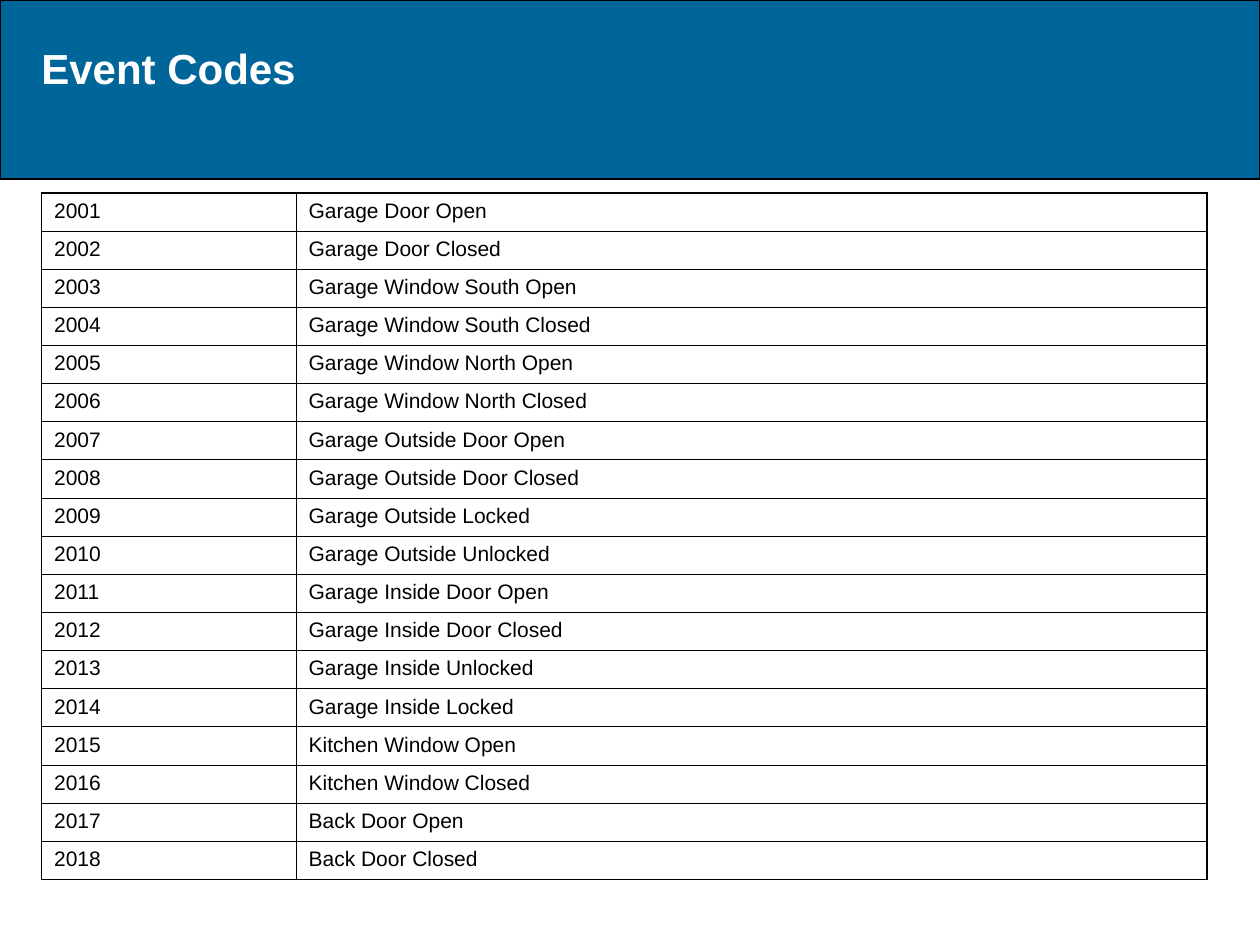
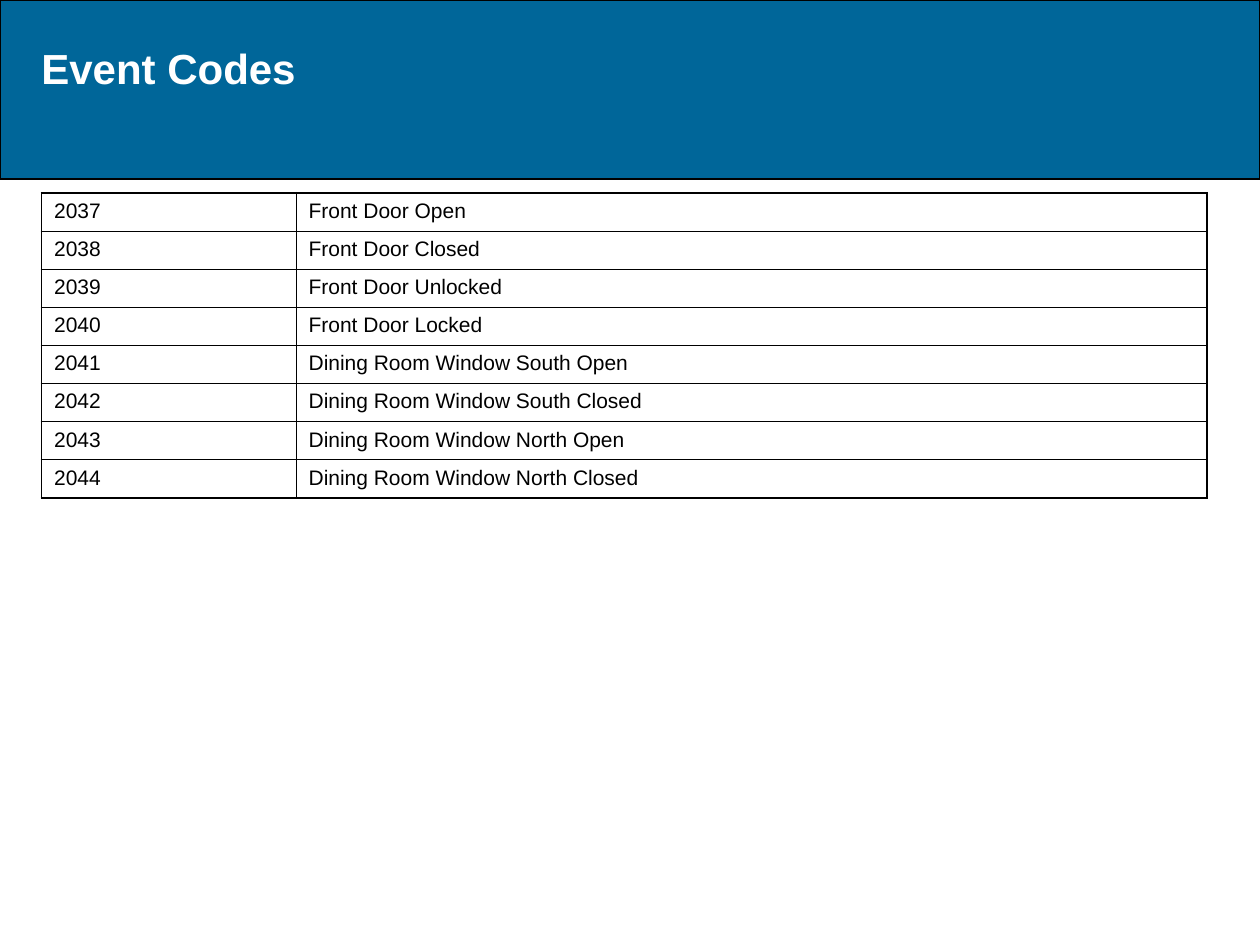
from lxml.etree import SubElement
from pptx import Presentation
from pptx.dml.color import RGBColor
from pptx.enum.shapes import MSO_SHAPE
from pptx.oxml.ns import qn
from pptx.util import Inches, Pt

# Shared style
BLUE = RGBColor(0x00, 0x66, 0x99)
WHITE = RGBColor(0xFF, 0xFF, 0xFF)
BLACK = RGBColor(0x00, 0x00, 0x00)
WIDE, HIGH = Inches(10), Inches(7.5)
TITLE = {"name": "Arial", "size": Pt(24), "bold": True}
BODY = {"name": "Arial", "size": Pt(12), "bold": False}
THICK, THIN = Pt(1.08), Pt(0.45)

# Table grid
LEFT, TOP = Inches(0.33), Inches(1.53)
COLS = (Inches(2.02), Inches(7.23))
ROW = Inches(5.45 / 18)

# First code and the events numbered from it, one list per slide
PAGES = (
    (2001, (
        "Garage Door Open",
        "Garage Door Closed",
        "Garage Window South Open",
        "Garage Window South Closed",
        "Garage Window North Open",
        "Garage Window North Closed",
        "Garage Outside Door Open",
        "Garage Outside Door Closed",
        "Garage Outside Locked",
        "Garage Outside Unlocked",
        "Garage Inside Door Open",
        "Garage Inside Door Closed",
        "Garage Inside Unlocked",
        "Garage Inside Locked",
        "Kitchen Window Open",
        "Kitchen Window Closed",
        "Back Door Open",
        "Back Door Closed",
    )),
    (2037, (
        "Front Door Open",
        "Front Door Closed",
        "Front Door Unlocked",
        "Front Door Locked",
        "Dining Room Window South Open",
        "Dining Room Window South Closed",
        "Dining Room Window North Open",
        "Dining Room Window North Closed",
    )),
)


def write(para, text, style, color):
    run = para.add_run()
    run.text = text
    for key, value in style.items():
        setattr(run.font, key, value)
    run.font.color.rgb = color


def add_band(slide):
    band = slide.shapes.add_shape(MSO_SHAPE.RECTANGLE, 0, 0, WIDE, Inches(1.42))
    band.shadow.inherit = False
    band.fill.solid()
    band.fill.fore_color.rgb = BLUE
    band.line.color.rgb = BLACK
    band.line.width = Pt(1)


def add_title(slide, text):
    box = slide.shapes.add_textbox(
        Inches(0.23), Inches(0.29), Inches(9.43), Inches(0.5))
    box.text_frame.word_wrap = True
    write(box.text_frame.paragraphs[0], text, TITLE, WHITE)


def add_edges(cell, outer):
    """Draw the four borders, thick on the sides named in outer."""
    props = cell._tc.get_or_add_tcPr()
    for side in "LRTB":
        width = THICK if side in outer else THIN
        line = SubElement(props, qn(f"a:ln{side}"), w=str(int(width)))
        fill = SubElement(line, qn("a:solidFill"))
        SubElement(fill, qn("a:srgbClr"), val=str(BLACK))


def add_codes(slide, first, events):
    count = len(events)
    table = slide.shapes.add_table(
        count, len(COLS), LEFT, TOP, sum(COLS), ROW * count).table
    table.first_row = table.horz_banding = False
    for col, width in zip(table.columns, COLS):
        col.width = width
    for i, event in enumerate(events):
        table.rows[i].height = ROW
        ends = ("T" if i == 0 else "") + ("B" if i == count - 1 else "")
        for j, (text, side) in enumerate(((str(first + i), "L"), (event, "R"))):
            cell = table.cell(i, j)
            add_edges(cell, side + ends)
            cell.fill.background()
            para = cell.text_frame.paragraphs[0]
            para.space_before = Pt(3)
            write(para, text, BODY, BLACK)


def main():
    deck = Presentation()
    deck.slide_width, deck.slide_height = WIDE, HIGH
    for first, events in PAGES:
        slide = deck.slides.add_slide(deck.slide_layouts[6])
        add_band(slide)
        add_title(slide, "Event Codes")
        add_codes(slide, first, events)
    deck.save("out.pptx")


if __name__ == "__main__":
    main()
